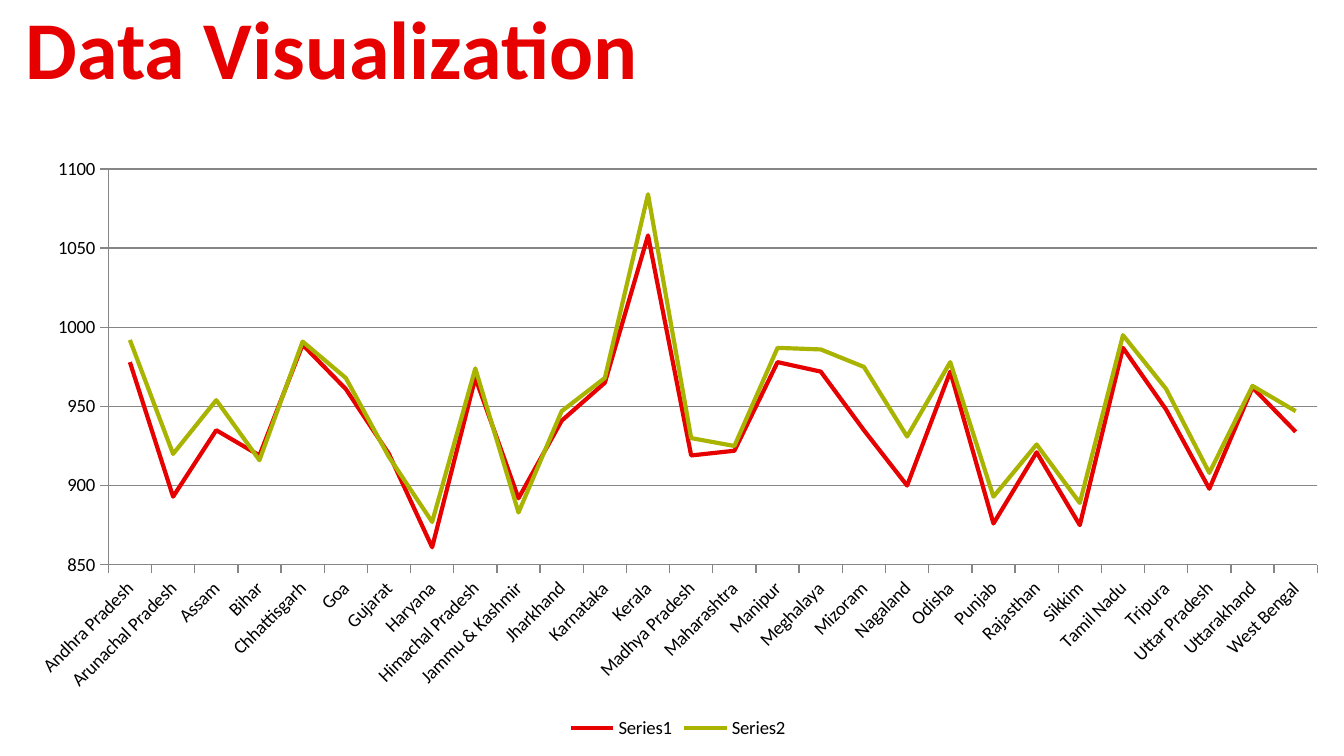
from pptx import Presentation
from pptx.chart.data import CategoryChartData
from pptx.dml.color import RGBColor
from pptx.enum.chart import (XL_CHART_TYPE as ChartType, XL_LEGEND_POSITION as LegendPosition,
                             XL_MARKER_STYLE as MarkerStyle, XL_TICK_MARK as TickMark)
from pptx.enum.text import MSO_ANCHOR as Anchor, MSO_AUTO_SIZE as AutoSize, PP_ALIGN as Align
from pptx.util import Cm, Pt

STATES = [
    ("Andhra Pradesh", 978, 992), ("Arunachal Pradesh", 893, 920),
    ("Assam", 935, 954), ("Bihar", 919, 916),
    ("Chhattisgarh", 989, 991), ("Goa", 961, 968),
    ("Gujarat", 920, 918), ("Haryana", 861, 877),
    ("Himachal Pradesh", 968, 974), ("Jammu & Kashmir", 892, 883),
    ("Jharkhand", 941, 947), ("Karnataka", 965, 968),
    ("Kerala", 1058, 1084), ("Madhya Pradesh", 919, 930),
    ("Maharashtra", 922, 925), ("Manipur", 978, 987),
    ("Meghalaya", 972, 986), ("Mizoram", 935, 975),
    ("Nagaland", 900, 931), ("Odisha", 972, 978),
    ("Punjab", 876, 893), ("Rajasthan", 921, 926),
    ("Sikkim", 875, 889), ("Tamil Nadu", 987, 995),
    ("Tripura", 948, 961), ("Uttar Pradesh", 898, 908),
    ("Uttarakhand", 962, 963), ("West Bengal", 934, 947),
]


def color(hex_string):
    return RGBColor.from_string(hex_string)


class SlideBuilder:
    font_name = "Calibri"
    red, green, gray, black = "E60000", "A8B400", "868686", "000000"

    def __init__(self, slide):
        self.slide = slide

    def style_font(self, font, size, hex_string, bold=False):
        font.name = self.font_name
        font.size = Pt(size)
        font.bold = bold
        font.color.rgb = color(hex_string)

    def style_line(self, line, width, hex_string):
        line.width = Pt(width)
        line.color.rgb = color(hex_string)

    def title(self, text, left, top, width, height):
        shape = self.slide.shapes.title
        shape.left, shape.top, shape.width, shape.height = left, top, width, height
        frame = shape.text_frame
        frame.word_wrap = True
        frame.auto_size = AutoSize.NONE
        frame.vertical_anchor = Anchor.TOP
        frame.margin_top = Cm(0.2)
        paragraph = frame.paragraphs[0]
        paragraph.alignment = Align.LEFT
        run = paragraph.add_run()
        run.text = text
        self.style_font(run.font, 44, self.red, bold=True)

    def line_chart(self, rows, left, top, width, height):
        categories, *columns = zip(*rows)
        data = CategoryChartData()
        data.categories = categories
        for number, values in enumerate(columns, 1):
            data.add_series(f"Series{number}", values)
        chart = self.slide.shapes.add_chart(
            ChartType.LINE, left, top, width, height, data).chart
        chart.has_title = False
        self.style_font(chart.font, 10, self.black)

        # Legend
        chart.has_legend = True
        chart.legend.position = LegendPosition.BOTTOM
        chart.legend.include_in_layout = False

        # Axes and gridlines
        value_axis, category_axis = chart.value_axis, chart.category_axis
        value_axis.minimum_scale, value_axis.maximum_scale = 850, 1100
        value_axis.major_unit = 50
        value_axis.has_major_gridlines = True
        self.style_line(value_axis.major_gridlines.format.line, 0.75, self.gray)
        for axis in (value_axis, category_axis):
            axis.major_tick_mark = TickMark.OUTSIDE
            self.style_line(axis.format.line, 0.75, self.gray)
            self.style_font(axis.tick_labels.font, 10, self.black)
        # Slant the state names by 45 degrees
        category_axis._element.txPr.bodyPr.set("rot", "-2700000")

        # Series
        plot = chart.plots[0]
        plot.vary_by_categories = False
        for series, hex_string in zip(plot.series, (self.red, self.green)):
            series.smooth = False
            series.marker.style = MarkerStyle.NONE
            self.style_line(series.format.line, 2.25, hex_string)


def main():
    presentation = Presentation()
    presentation.slide_width, presentation.slide_height = Cm(25.4), Cm(14.29)
    slide = presentation.slides.add_slide(presentation.slide_layouts[5])
    builder = SlideBuilder(slide)
    builder.title("Data Visualization", Cm(0.23), Cm(-0.25), Cm(22.5), Cm(1.4))
    builder.line_chart(STATES, Cm(0.23), Cm(2.77), Cm(25.17), Cm(11.3))
    presentation.save("out.pptx")


if __name__ == "__main__":
    main()
